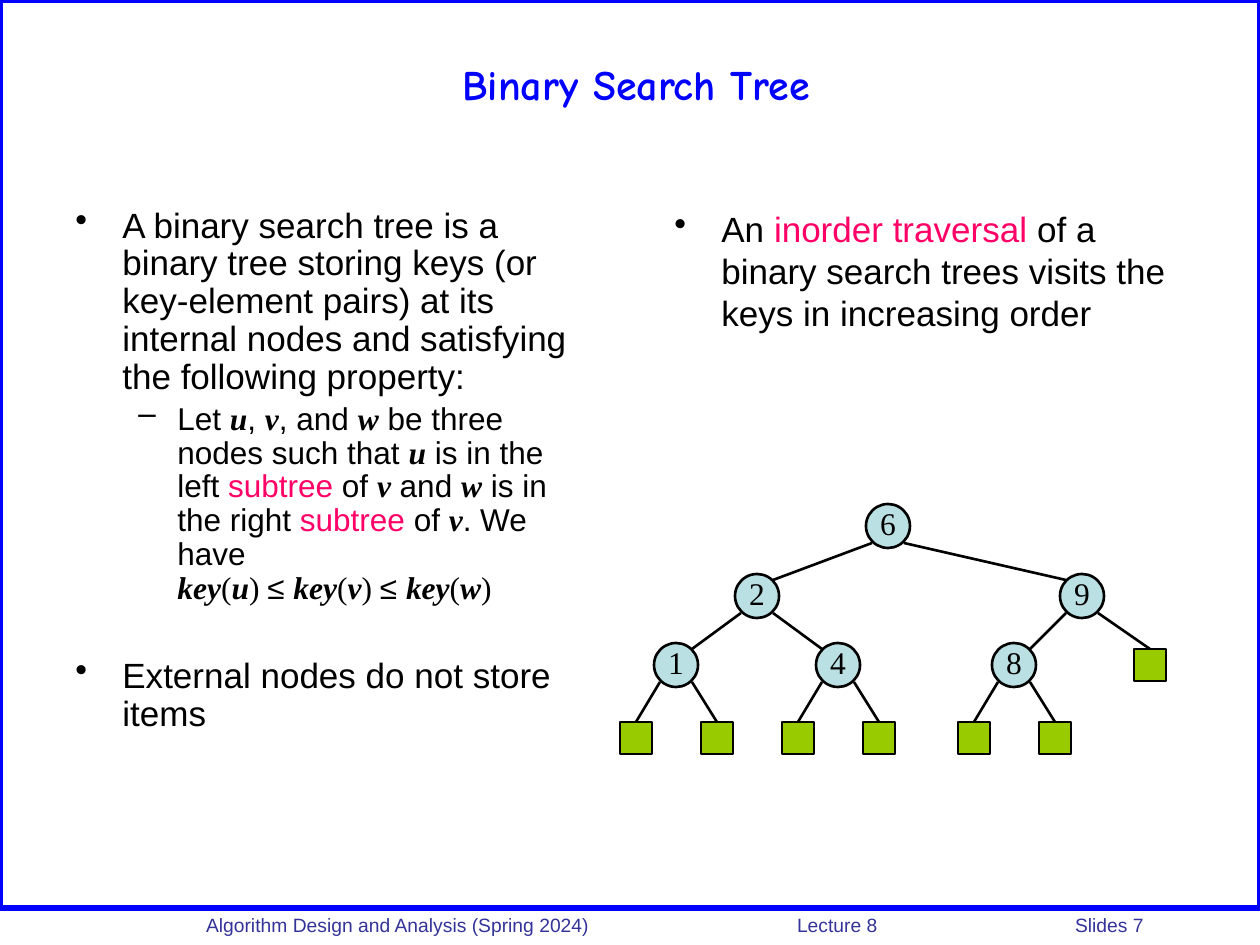
import dataclasses

import pptx
import pptx.dml.color
import pptx.enum.shapes
import pptx.enum.text
import pptx.oxml.ns
import pptx.util
from lxml import etree

EMU_PER_PX = 914400 / 126
SHAPES = pptx.enum.shapes.MSO_SHAPE
ANCHORS = pptx.enum.text.MSO_ANCHOR
ALIGNS = pptx.enum.text.PP_ALIGN


def px(length):
    return pptx.util.Emu(round(length * EMU_PER_PX))


@dataclasses.dataclass(frozen=True)
class Theme:
    blue: str = "0000FF"
    navy: str = "333399"
    ink: str = "000000"
    pink: str = "FF0066"
    node: str = "BBE0E3"
    leaf: str = "99CC00"
    sans: str = "Arial"
    serif: str = "Times New Roman"
    display: str = "Comic Neue"
    title_size: int = 24
    body_size: int = 20
    detail_size: int = 18
    footer_size: int = 11
    frame_line: float = 3
    tree_line: float = 1.5

    def formats(self, role):
        body = {"name": self.sans, "size": self.body_size, "color": self.ink}
        detail = body | {"size": self.detail_size}
        formal = detail | {"name": self.serif}
        return {
            "title": {"name": self.display, "size": self.title_size, "color": self.blue, "bold": True},
            "footer": {"name": self.sans, "size": self.footer_size, "color": self.navy},
            "body": body,
            "body term": body | {"color": self.pink},
            "detail": detail,
            "detail term": detail | {"color": self.pink},
            "symbol": formal | {"bold": True, "italic": True},
            "formal": formal,
        }[role]


class TreeSlide:
    """Draws text, nodes and edges on one slide in one theme."""

    def __init__(self, slide, theme):
        self.slide = slide
        self.theme = theme

    def add_words(self, paragraph, role, text):
        run = paragraph.add_run()
        run.text = text
        for attribute, value in self.theme.formats(role).items():
            if attribute == "color":
                run.font.color.rgb = pptx.dml.color.RGBColor.from_string(value)
            else:
                setattr(run.font, attribute, pptx.util.Pt(value) if attribute == "size" else value)

    def text_box(self, left, top, width, height, **frame_format):
        frame = self.slide.shapes.add_textbox(*map(px, (left, top, width, height))).text_frame
        for attribute, value in ({"word_wrap": True} | frame_format).items():
            setattr(frame, attribute, value)
        return frame

    def bullet(self, paragraph, mark, margin, hang, runs, **spacing):
        properties = paragraph._p.get_or_add_pPr()
        for attribute, length in {"marL": margin, "indent": -hang}.items():
            properties.set(attribute, str(px(length)))
        etree.SubElement(properties, pptx.oxml.ns.qn("a:buChar"), char=mark)
        for attribute, value in spacing.items():
            setattr(paragraph, attribute, pptx.util.Pt(value))
        for role, text in runs:
            if role == "break":
                paragraph.add_line_break()
            else:
                self.add_words(paragraph, role, text)

    def tabbed_line(self, paragraph, role, parts, stops):
        tabs = etree.SubElement(paragraph._p.get_or_add_pPr(), pptx.oxml.ns.qn("a:tabLst"))
        for stop in stops:
            etree.SubElement(tabs, pptx.oxml.ns.qn("a:tab"), pos=str(px(stop)), algn="l")
        self.add_words(paragraph, role, "\t".join(parts))

    def outline(self, line, color, width):
        line.color.rgb = pptx.dml.color.RGBColor.from_string(color)
        line.width = pptx.util.Pt(width)

    def shape(self, kind, left, top, width, height, line_color, line_width, fill=None):
        shape = self.slide.shapes.add_shape(kind, *map(px, (left, top, width, height)))
        shape.shadow.inherit = False
        if fill:
            shape.fill.solid()
            shape.fill.fore_color.rgb = pptx.dml.color.RGBColor.from_string(fill)
        else:
            shape.fill.background()
        self.outline(shape.line, line_color, line_width)
        return shape

    def edge(self, *ends):
        edge = self.slide.shapes.add_connector(
            pptx.enum.shapes.MSO_CONNECTOR.STRAIGHT, *map(px, ends))
        self.outline(edge.line, self.theme.ink, self.theme.tree_line)
        etree.SubElement(edge._element.spPr, pptx.oxml.ns.qn("a:effectLst"))

    def leaf(self, x, y):
        self.shape(SHAPES.RECTANGLE, x - 16, y - 16, 32, 32,
                   self.theme.ink, self.theme.tree_line, self.theme.leaf)

    def node(self, key, x, y):
        circle = self.shape(SHAPES.OVAL, x - 22, y - 22, 44, 44,
                            self.theme.ink, self.theme.tree_line, self.theme.node)
        frame = circle.text_frame
        frame_format = {"margin_left": 0, "margin_top": 0, "margin_right": 0, "margin_bottom": px(6),
                        "word_wrap": False, "vertical_anchor": ANCHORS.MIDDLE}
        for attribute, value in frame_format.items():
            setattr(frame, attribute, value)
        frame.paragraphs[0].alignment = ALIGNS.CENTER
        self.add_words(frame.paragraphs[0], "formal", key)

    def tree(self, key, x, y, *children):
        for side, (child_key, child_x, child_y, *grandchildren) in zip((-1, 1), children):
            reach = 16 if child_key else 0
            self.edge(x + side * 16, y + 17, child_x - side * reach, child_y - 16)
            if child_key:
                self.tree(child_key, child_x, child_y, *grandchildren)
            else:
                self.leaf(child_x, child_y)
        self.node(key, x, y)


def twin_leaves(x, y=738):
    return [(None, x + offset, y) for offset in (-40, 41)]


def main():
    deck = pptx.Presentation()
    deck.slide_width, deck.slide_height = px(1260), px(945)
    theme = Theme()
    page = TreeSlide(deck.slides.add_slide(deck.slide_layouts[6]), theme)

    page.shape(SHAPES.RECTANGLE, 0, 0, 1260, 908, theme.blue, theme.frame_line)
    footer = page.text_box(168, 907, 1092, 33, margin_left=px(38))
    page.tabbed_line(footer.paragraphs[0], "footer",
                     ["Algorithm Design and Analysis (Spring 2024)", "Lecture 8", "Slides 7"], [591, 869])

    title = page.text_box(116, 42, 1040, 84, vertical_anchor=ANCHORS.MIDDLE)
    title.paragraphs[0].alignment = ALIGNS.CENTER
    page.add_words(title.paragraphs[0], "title", "Binary Search Tree")

    definition = page.text_box(63, 201, 525, 662)
    page.bullet(definition.paragraphs[0], "•", 47, 47, [
        ("body", "A binary search tree is a binary tree storing keys (or key-element pairs) "
                 "at its internal nodes and satisfying the following property:")], line_spacing=21.6)
    ordering = definition.add_paragraph()
    ordering.level = 1
    condition = [
        ("detail", "Let "), ("symbol", "u"), ("detail", ", "), ("symbol", "v"),
        ("detail", ", and "), ("symbol", "w"), ("detail", " be three nodes such that "),
        ("symbol", "u"), ("detail", " is in the left "), ("detail term", "subtree"),
        ("detail", " of "), ("symbol", "v"), ("detail", " and "), ("symbol", "w"),
        ("detail", " is in the right "), ("detail term", "subtree"), ("detail", " of "),
        ("symbol", "v"), ("detail", ". We have "), ("break", "")]
    for variable, relation in (("u", "≤ "), ("v", "≤ "), ("w", "")):
        condition += [("symbol", "key"), ("formal", "("), ("symbol", variable),
                      ("formal", ") " if relation else ")")]
        if relation:
            condition.append(("detail", relation))
    page.bullet(ordering, "–", 102, 39, condition, line_spacing=19.4, space_before=3.6)
    page.bullet(definition.add_paragraph(), "•", 47, 47,
                [("body", "External nodes do not store items")], line_spacing=21.6, space_before=29.5)

    traversal = page.text_box(662, 201, 525, 220)
    page.bullet(traversal.paragraphs[0], "•", 47, 47, [
        ("body", "An "), ("body term", "inorder traversal"),
        ("body", " of a binary search trees visits the keys in increasing order")], line_spacing=24)

    page.tree("6", 888, 526,
              ("2", 757, 596,
               ("1", 676, 665, *twin_leaves(676)), ("4", 838, 665, *twin_leaves(838))),
              ("9", 1082, 596,
               ("8", 1014, 665, *twin_leaves(1014)), (None, 1150, 665)))
    deck.save("out.pptx")


if __name__ == "__main__":
    main()
